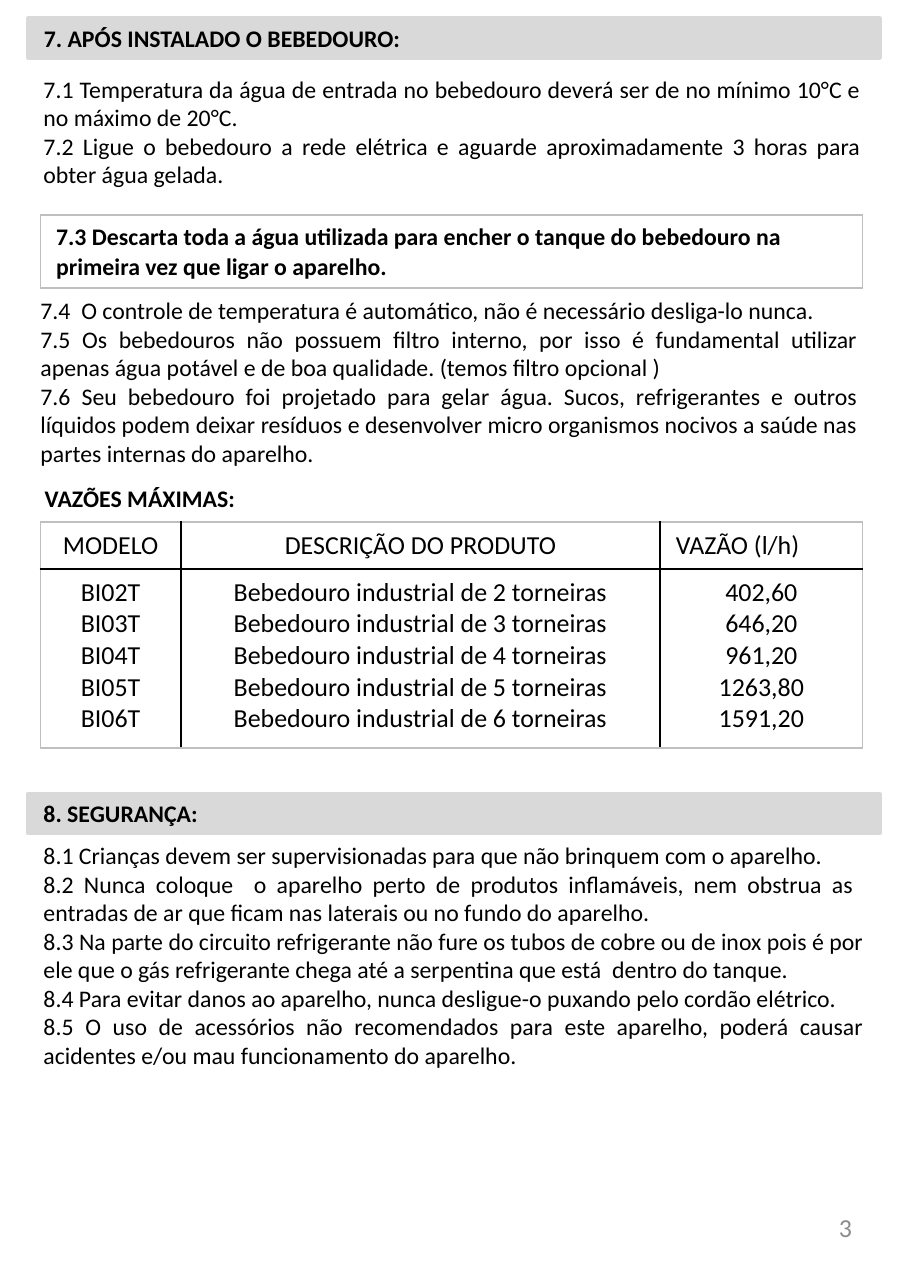
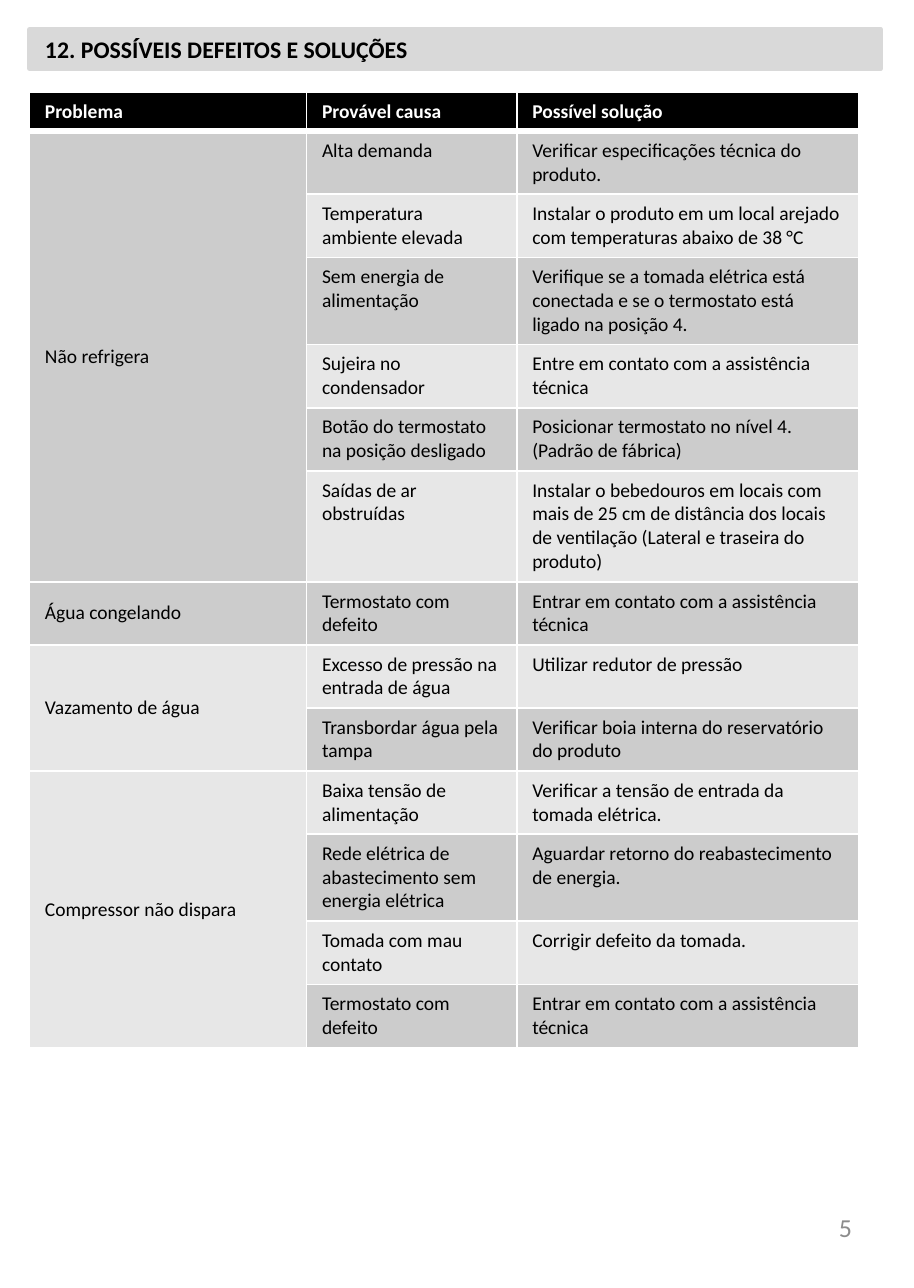
from lxml.etree import SubElement
from pptx import Presentation
from pptx.dml.color import RGBColor
from pptx.enum.shapes import MSO_SHAPE
from pptx.enum.text import MSO_ANCHOR, MSO_AUTO_SIZE, PP_ALIGN
from pptx.oxml.ns import qn
from pptx.util import Cm, Pt

FONT = "Calibri"
BLACK, WHITE, BAND, EDGE, GREY = "000000", "FFFFFF", "D9D9D9", "BFBFBF", "8C8C8C"
STRIPES = ["CCCCCC", "E7E7E7"]
LEFT, MID, RIGHT, FULL = PP_ALIGN.LEFT, PP_ALIGN.CENTER, PP_ALIGN.RIGHT, PP_ALIGN.JUSTIFY

START = [
    "7.1 Temperatura da água de entrada no bebedouro deverá ser de no mínimo 10°C e no máximo de 20°C.",
    "7.2 Ligue o bebedouro a rede elétrica e aguarde aproximadamente 3 horas para obter água gelada.",
]
NOTE = "7.3 Descarta toda a água utilizada para encher o tanque do bebedouro na primeira vez que ligar o aparelho."
USAGE = [
    "7.4  O controle de temperatura é automático, não é necessário desliga-lo nunca.",
    "7.5 Os bebedouros não possuem filtro interno, por isso é fundamental utilizar apenas água potável "
    "e de boa qualidade. (temos filtro opcional )",
    "7.6 Seu bebedouro foi projetado para gelar água. Sucos, refrigerantes e outros líquidos podem deixar "
    "resíduos e desenvolver micro organismos nocivos a saúde nas partes internas do aparelho.",
]
HEADS = ["MODELO", "DESCRIÇÃO DO PRODUTO", "VAZÃO (l/h)"]
FLOWS = [
    ("BI02T", "Bebedouro industrial de 2 torneiras", "402,60"),
    ("BI03T", "Bebedouro industrial de 3 torneiras", "646,20"),
    ("BI04T", "Bebedouro industrial de 4 torneiras", "961,20"),
    ("BI05T", "Bebedouro industrial de 5 torneiras", "1263,80"),
    ("BI06T", "Bebedouro industrial de 6 torneiras", "1591,20"),
]
SAFETY = [
    "8.1 Crianças devem ser supervisionadas para que não brinquem com o aparelho.",
    "8.2 Nunca coloque  o aparelho perto de produtos inflamáveis, nem obstrua as  entradas de ar que ficam "
    "nas laterais ou no fundo do aparelho.",
    "8.3 Na parte do circuito refrigerante não fure os tubos de cobre ou de inox pois é por ele que o gás "
    "refrigerante chega até a serpentina que está  dentro do tanque.",
    "8.4 Para evitar danos ao aparelho, nunca desligue-o puxando pelo cordão elétrico.",
    "8.5 O uso de acessórios não recomendados para este aparelho, poderá causar acidentes e/ou mau "
    "funcionamento do aparelho.",
]
TOPICS = ["Problema", "Provável causa", "Possível solução"]
FAULTS = [
    ("Não refrigera", [
        ("Alta demanda", "Verificar especificações técnica do produto.", 2),
        ("Temperatura ambiente elevada",
         "Instalar o produto em um local arejado com temperaturas abaixo de 38 °C", 2),
        ("Sem energia de alimentação",
         "Verifique se a tomada elétrica está conectada e se o termostato está ligado na posição 4.", 3),
        ("Sujeira no condensador", "Entre em contato com a assistência técnica", 2),
        ("Botão do termostato na posição desligado",
         "Posicionar termostato no nível 4. (Padrão de fábrica)", 2),
        ("Saídas de ar obstruídas",
         "Instalar o bebedouros em locais com mais de 25 cm de distância dos locais de ventilação "
         "(Lateral e traseira do produto)", 4),
    ]),
    ("Água congelando", [
        ("Termostato com defeito", "Entrar em contato com a assistência técnica", 2),
    ]),
    ("Vazamento de água", [
        ("Excesso de pressão na entrada de água", "Utilizar redutor de pressão", 2),
        ("Transbordar água pela tampa", "Verificar boia interna do reservatório do produto", 2),
    ]),
    ("Compressor não dispara", [
        ("Baixa tensão de alimentação", "Verificar a tensão de entrada da tomada elétrica.", 2),
        ("Rede elétrica de abastecimento sem energia elétrica",
         "Aguardar retorno do reabastecimento de energia.", 3),
        ("Tomada com mau contato", "Corrigir defeito da tomada.", 2),
        ("Termostato com defeito", "Entrar em contato com a assistência técnica", 2),
    ]),
]


def tint(code):
    return RGBColor.from_string(code)


def write(frame, lines, size=11, bold=False, color=BLACK, align=LEFT):
    frame.word_wrap = True
    for i, line in enumerate(lines):
        para = frame.add_paragraph() if i else frame.paragraphs[0]
        para.alignment = align
        run = para.add_run()
        run.text = line
        font = run.font
        font.name, font.size, font.bold = FONT, Pt(size), bold
        font.color.rgb = tint(color)


def place(shape, left, top, width, height):
    shape.left, shape.top = Cm(left), Cm(top)
    shape.width, shape.height = Cm(width), Cm(height)


def band(shape, text, left, top):
    place(shape, left, top, 13.89, 0.64)
    shape.fill.solid()
    shape.fill.fore_color.rgb = tint(BAND)
    shape.line.color.rgb = tint(BAND)
    shape.line.width = Pt(2)
    frame = shape.text_frame
    frame.auto_size = MSO_AUTO_SIZE.NONE
    frame.vertical_anchor = MSO_ANCHOR.MIDDLE
    write(frame, [text], bold=True)


def label(slide, box, lines, anchor=MSO_ANCHOR.TOP, **style):
    frame = slide.shapes.add_textbox(*map(Cm, box)).text_frame
    frame.vertical_anchor = anchor
    write(frame, lines, **style)


def page(deck, title, left, top, number):
    slide = deck.slides.add_slide(deck.slide_layouts[5])
    band(slide.shapes.title, title, left, top)
    label(slide, (10.67, 19.46, 3.48, 1.12), [number], MSO_ANCHOR.MIDDLE,
          size=12, color=GREY, align=RIGHT)
    return slide


def grid(slide, left, top, cols, rows):
    frame = slide.shapes.add_table(len(rows), len(cols), Cm(left), Cm(top), Cm(sum(cols)), Cm(sum(rows)))
    table = frame.table
    table.first_row = table.horz_banding = False
    for col, width in zip(table.columns, cols):
        col.width = Cm(width)
    for row, height in zip(table.rows, rows):
        row.height = Cm(height)
    return table


def rule(cell, **sides):
    props = cell._tc.get_or_add_tcPr()
    for side in "LRTB":
        color, width = sides[side]
        line = SubElement(props, qn(f"a:ln{side}"), w=str(Pt(width)))
        fill = SubElement(line, qn("a:solidFill"))
        SubElement(fill, qn("a:srgbClr"), val=color)


def paint(cell, color):
    cell.fill.solid()
    cell.fill.fore_color.rgb = tint(color)


def frame_in(table):
    rows, cols = len(table.rows), len(table.columns)
    for r in range(rows):
        for c in range(cols):
            cell = table.cell(r, c)
            outer = {"L": c == 0, "R": c == cols - 1, "T": r == 0, "B": r == rows - 1}
            rule(cell, **{side: (EDGE if out else BLACK, 1) for side, out in outer.items()})
            cell.fill.background()


def setup(deck):
    slide = page(deck, "7. APÓS INSTALADO O BEBEDOURO:", 0.46, 0.3, "3")
    label(slide, (0.46, 1.09, 13.84, 2.13), START, align=FULL)
    note = grid(slide, 0.66, 3.51, [13.41], [1.19])
    frame_in(note)
    write(note.cell(0, 0).text_frame, [NOTE], bold=True)
    label(slide, (0.41, 4.7, 13.84, 3.07), USAGE, align=FULL)

    label(slide, (0.48, 7.77, 13.69, 0.74), ["VAZÕES MÁXIMAS:"], bold=True)
    table = grid(slide, 0.66, 8.51, [2.29, 7.82, 3.3], [0.77, 2.92])
    frame_in(table)
    for c, (head, values) in enumerate(zip(HEADS, zip(*FLOWS))):
        write(table.cell(0, c).text_frame, [head], size=12, align=LEFT if c == 2 else MID)
        write(table.cell(1, c).text_frame, values, size=12, align=MID)

    bar = slide.shapes.add_shape(MSO_SHAPE.RECTANGLE, 0, 0, 0, 0)
    bar.shadow.inherit = False
    band(bar, "8. SEGURANÇA:", 0.46, 12.95)
    label(slide, (0.46, 13.59, 13.89, 4.01), SAFETY, align=FULL)


def faults(deck):
    slide = page(deck, "12. POSSÍVEIS DEFEITOS E SOLUÇÕES", 0.48, 0.48, "5")
    counts = [1] + [size for _, causes in FAULTS for _, _, size in causes]
    table = grid(slide, 0.48, 1.5, [4.52, 3.43, 5.59], [0.25 + 0.39 * n for n in counts])
    thin, thick = (WHITE, 1), (WHITE, 3)
    for r in range(len(counts)):
        for c in range(3):
            cell = table.cell(r, c)
            rule(cell, L=thin, R=thin, T=thick if r == 1 else thin, B=thin if r else thick)
            paint(cell, STRIPES[(r - 1) % 2] if r else BLACK)
    for c, topic in enumerate(TOPICS):
        write(table.cell(0, c).text_frame, [topic], size=9, bold=True, color=WHITE)

    top = 1
    for fault, causes in FAULTS:
        head = table.cell(top, 0)
        if len(causes) > 1:
            head.merge(table.cell(top + len(causes) - 1, 0))
        head.vertical_anchor = MSO_ANCHOR.MIDDLE
        write(head.text_frame, [fault], size=9)
        for r, (cause, cure, _) in enumerate(causes, top):
            write(table.cell(r, 1).text_frame, [cause], size=9)
            write(table.cell(r, 2).text_frame, [cure], size=9)
        top += len(causes)


def main():
    deck = Presentation()
    deck.slide_width, deck.slide_height = Cm(14.91), Cm(21.01)
    setup(deck)
    faults(deck)
    deck.save("out.pptx")


if __name__ == "__main__":
    main()
